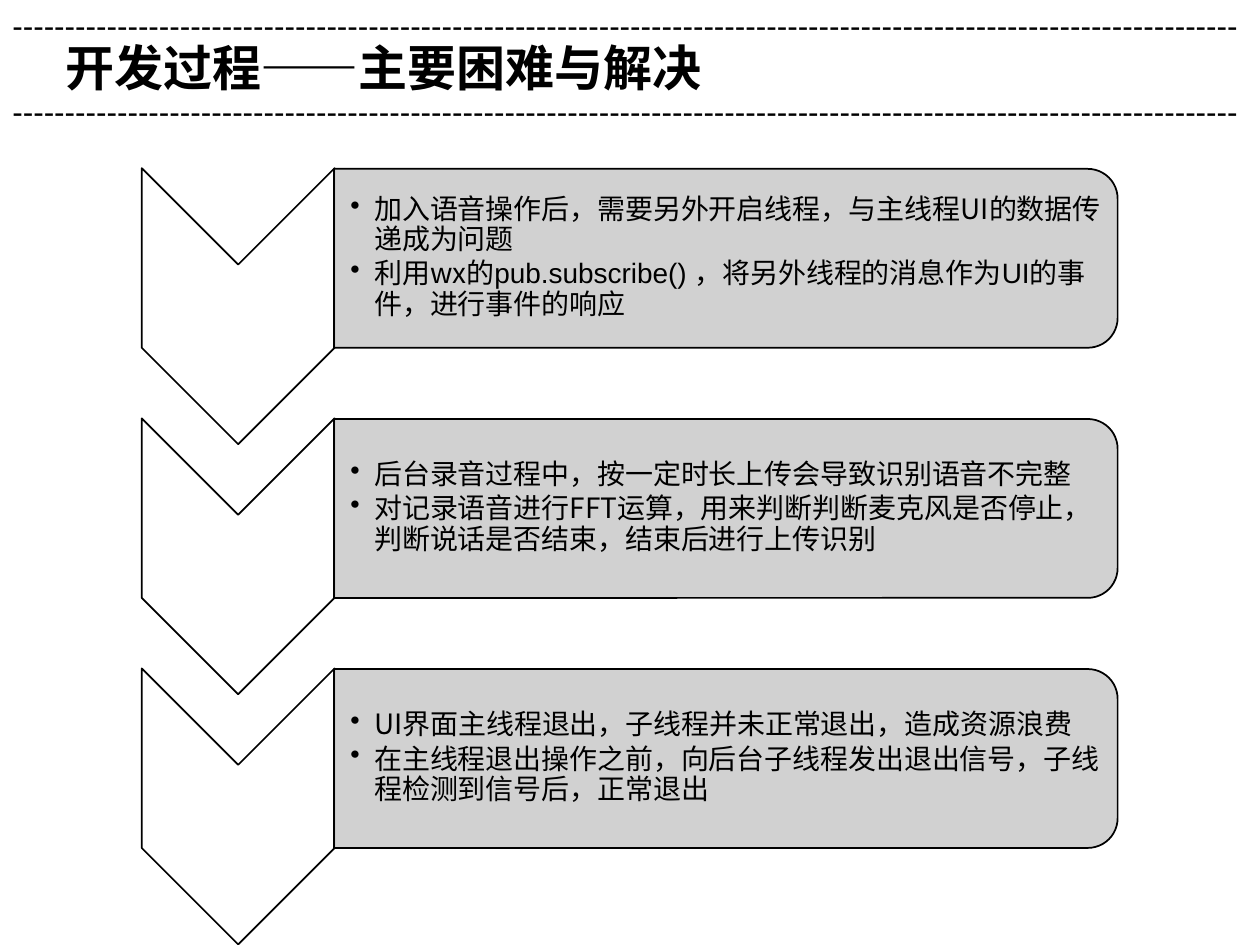
from pptx import Presentation
from pptx.dml.color import RGBColor
from pptx.enum.shapes import MSO_SHAPE as Shape
from pptx.enum.text import MSO_ANCHOR as Anchor
from pptx.util import Inches, Pt
from pptx.oxml.ns import qn
from lxml.etree import SubElement

LATIN, HAN = "Arial", "Noto Sans CJK SC"
BLACK, WHITE, GREY = "000000", "FFFFFF", "CCCCCC"
TOP, PITCH = 2.05, 1.985  # centre of the first row, distance between rows

# Each row holds bullets, each bullet holds (text, font) runs.
ROWS = [
    [[("加入语音操作后，需要另外开启线程，与主线程UI的数据传递成为问题", HAN)],
     [("利用wx的", HAN),
      ("pub.subscribe() ，将另外线程的消息作为UI的事件，进行事件的响应", LATIN)]],
    [[("后台录音过程中，按一定时长上传会导致识别语音不完整", HAN)],
     [("对记录语音进行FFT运算，用来判断", HAN),
      ("判断麦克风是否停止，判断说话是否结束，结束后进行上传识别", LATIN)]],
    [[("UI界面主线程退出，子线程并未正常退出，造成资源浪费", HAN)],
     [("在主线程退出操作之前，向后台子线程发出退出信号，子线程检测到信号后，正常退出", HAN)]],
]


def color(code):
    return RGBColor.from_string(code)


def style(para, size, bold=False):
    font = para.font
    font.size, font.bold = Pt(size), bold
    font.color.rgb = color(BLACK)
    font.name = LATIN
    SubElement(font._element, qn("a:ea"), typeface=HAN)


def add_box(slide, left, top, width, height):
    box = slide.shapes.add_textbox(
        Inches(left), Inches(top), Inches(width), Inches(height))
    box.text_frame.word_wrap = True
    return box.text_frame


def add_line(slide, text, left, top, width, height, size, bold=False):
    """Add a text box with one line of text."""
    para = add_box(slide, left, top, width, height).paragraphs[0]
    para.text = text
    style(para, size, bold)


def add_turned(slide, kind, x, y, width, height, fill, alpha=100):
    """Add a shape centred on x, y and turned by 90 degrees."""
    shape = slide.shapes.add_shape(
        kind, Inches(x - width / 2), Inches(y - height / 2),
        Inches(width), Inches(height))
    shape.rotation = 90
    shape.shadow.inherit = False
    shape.fill.solid()
    shape.fill.fore_color.rgb = color(fill)
    shape.line.color.rgb = color(BLACK)
    shape.line.width = Pt(1)
    if alpha < 100:
        tint = shape._element.spPr.find(qn("a:solidFill"))[0]
        SubElement(tint, qn("a:alpha"), val=str(alpha * 1000))


def add_bullet(para, runs):
    props = para._p.get_or_add_pPr()
    props.set("marL", str(Inches(0.19)))
    props.set("indent", str(Inches(-0.19)))
    para.line_spacing = 0.9
    para.space_after = Pt(2.4)
    SubElement(props, qn("a:buChar"), char="•")
    style(para, 16)
    for text, name in runs:
        run = para.add_run()
        run.text = text
        run.font.name = name


def add_row(slide, y, bullets):
    add_turned(slide, Shape.CHEVRON, 1.89, y + 0.38, 2.19, 1.53, WHITE)
    add_turned(slide, Shape.ROUND_2_SAME_RECTANGLE, 5.76, y, 1.42, 6.22, GREY, 90)
    frame = add_box(slide, 2.66, y - 0.65, 6.15, 1.29)
    frame.vertical_anchor = Anchor.MIDDLE
    frame.margin_left = Inches(0.12)
    frame.margin_top = frame.margin_right = frame.margin_bottom = Inches(0.01)
    for i, runs in enumerate(bullets):
        para = frame.add_paragraph() if i else frame.paragraphs[0]
        add_bullet(para, runs)


def main():
    deck = Presentation()
    deck.slide_width, deck.slide_height = Inches(10), Inches(7.5)
    slide = deck.slides.add_slide(deck.slide_layouts[6])
    add_line(slide, "开发过程——主要困难与解决", 0.42, 0.25, 7.83, 0.57, 28, True)
    for top in (0, 0.68):
        add_line(slide, "-" * 117, 0, top, 10, 0.4, 18)
    for i, bullets in enumerate(ROWS):
        add_row(slide, TOP + i * PITCH, bullets)
    deck.save("out.pptx")


if __name__ == "__main__":
    main()
